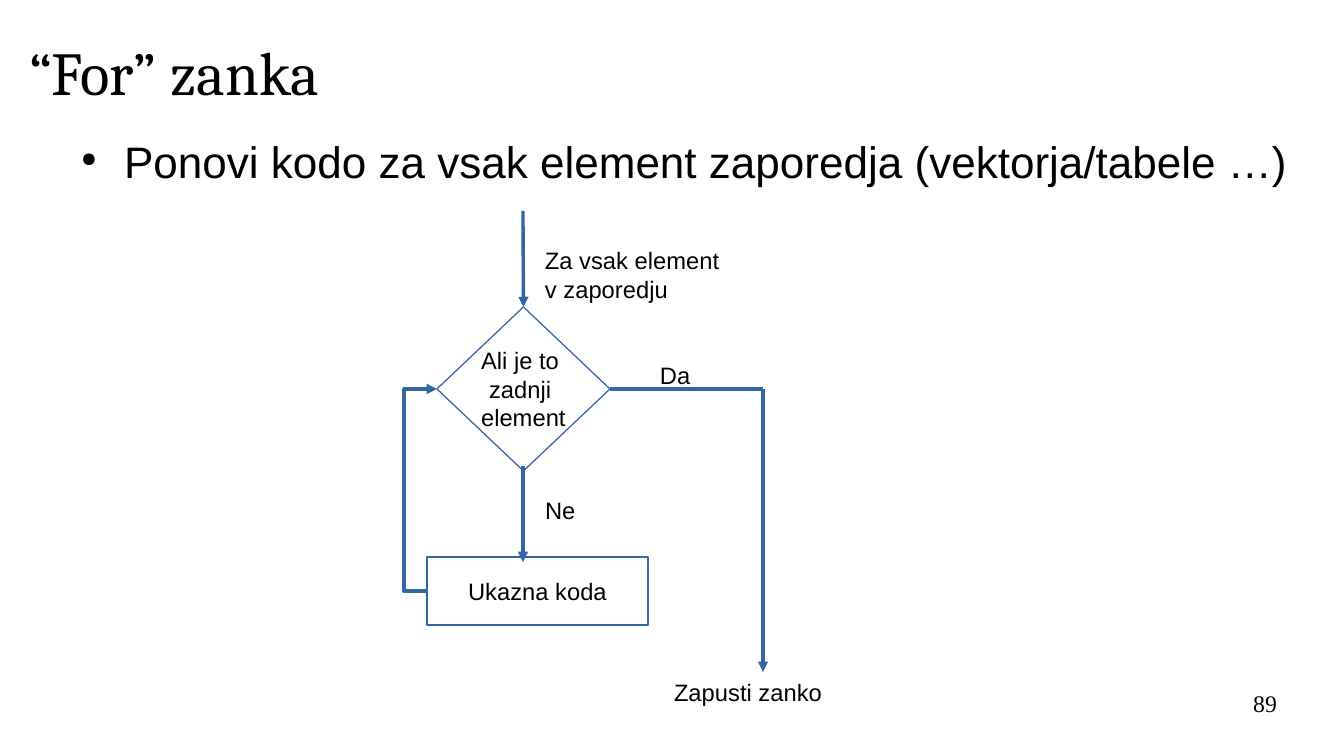
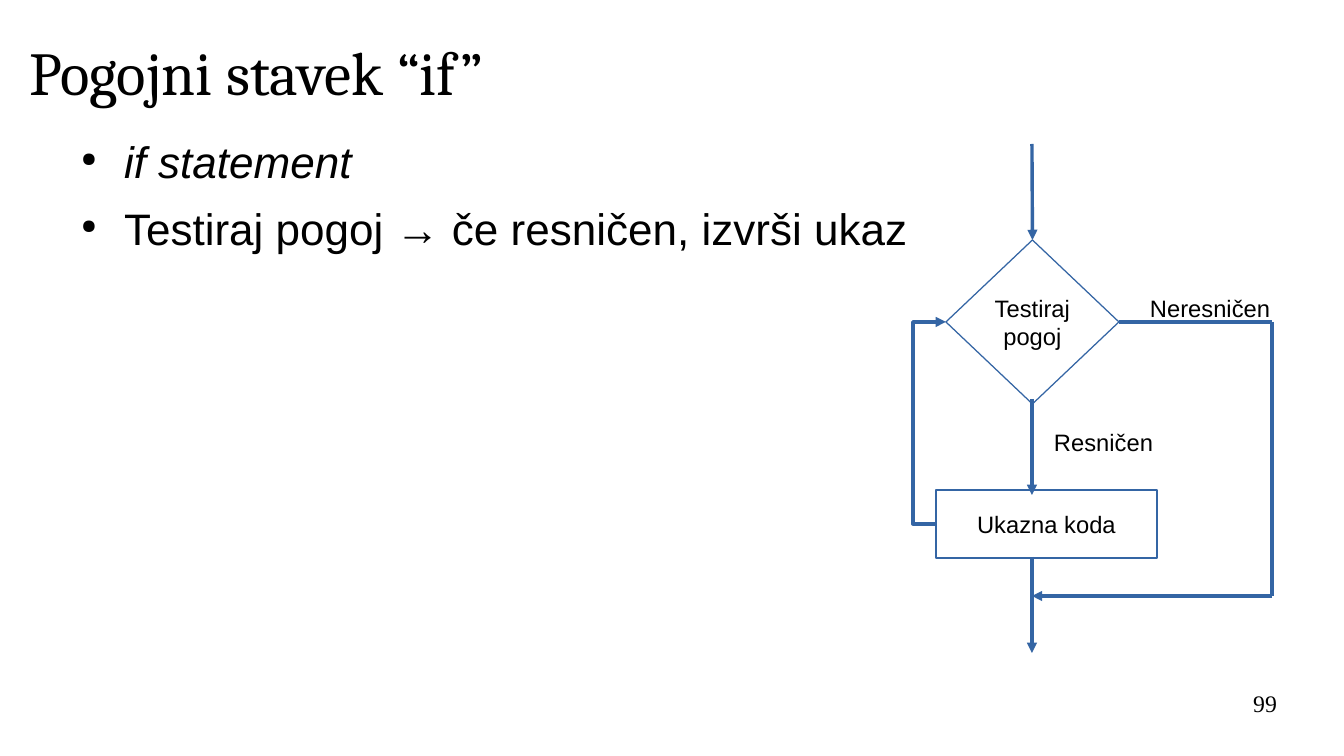
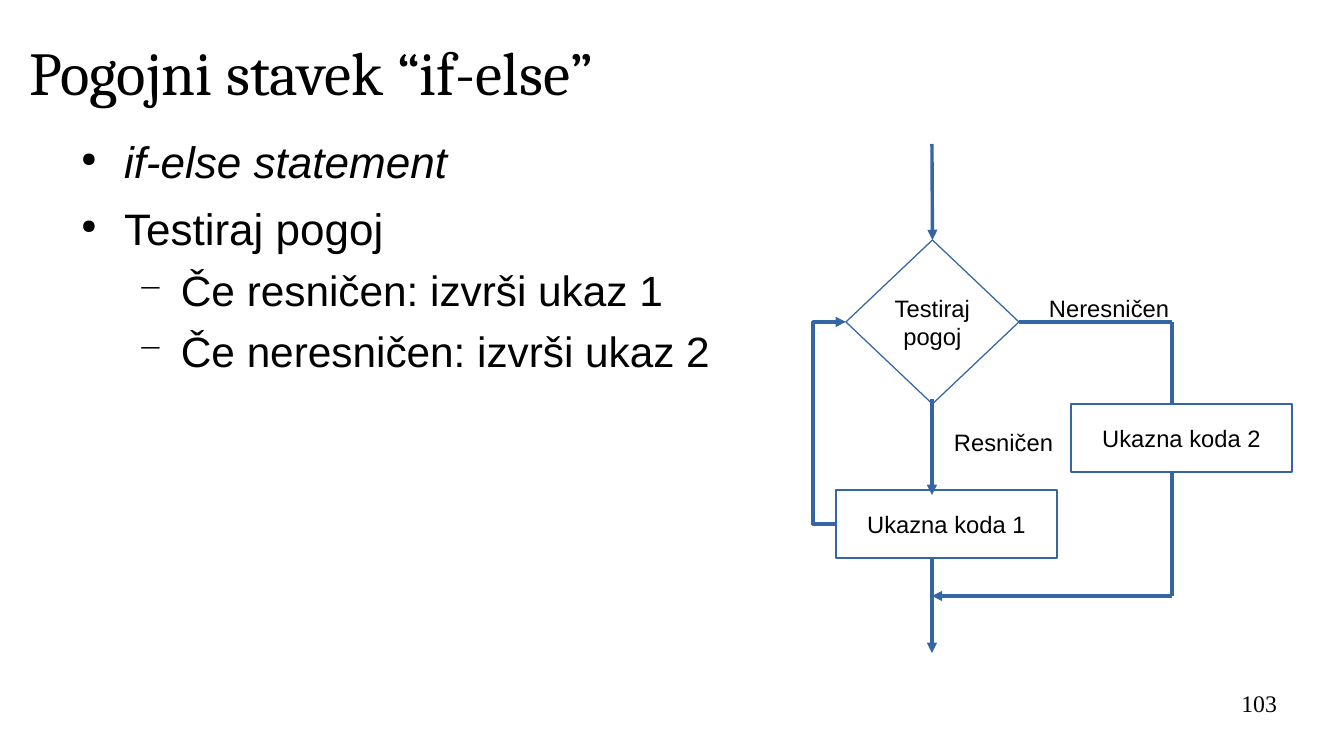
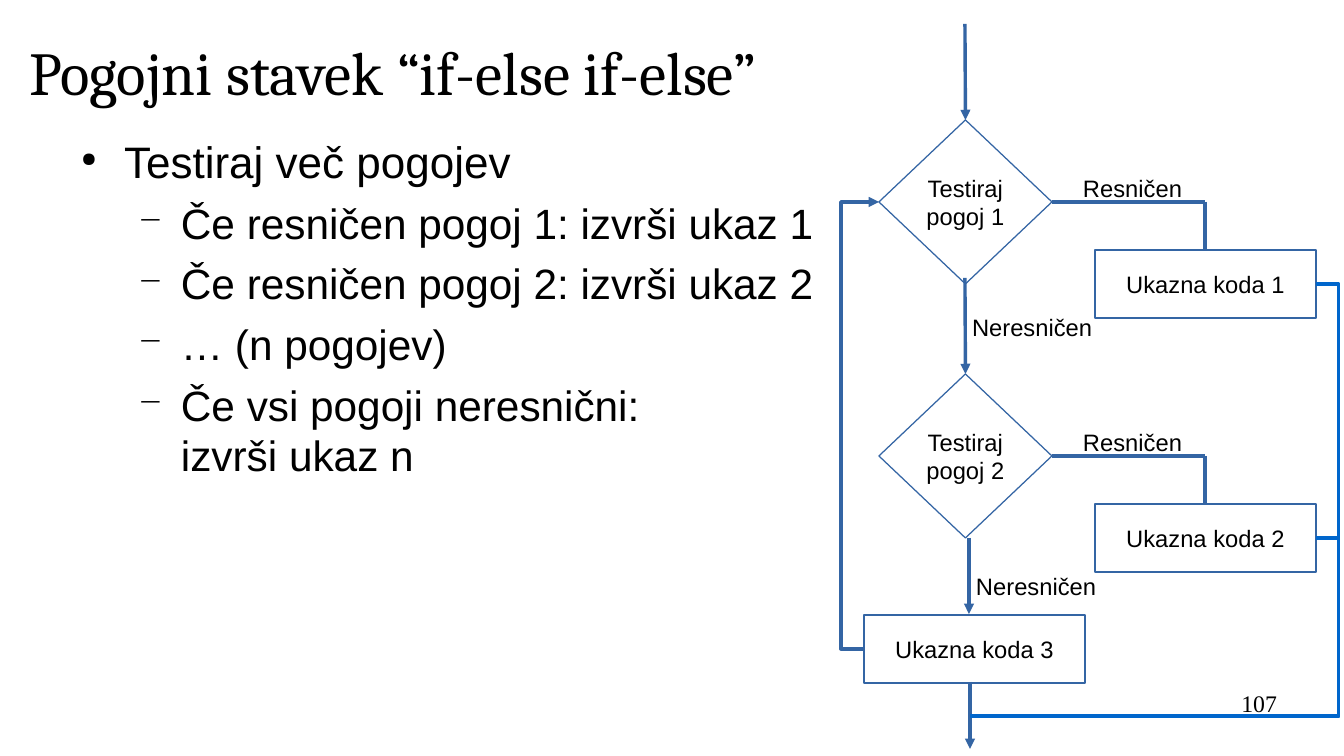
from copy import deepcopy

from pptx import Presentation
from pptx.dml.color import RGBColor
from pptx.enum.shapes import MSO_CONNECTOR as LINK, MSO_SHAPE as SHAPE
from pptx.enum.text import MSO_ANCHOR as ANCHOR, MSO_AUTO_SIZE as AUTOSIZE, PP_ALIGN as ALIGN
from pptx.oxml.ns import qn
from pptx.oxml.xmlchemy import OxmlElement
from pptx.util import Pt

PX = 914400 / 122
COLORS = {name: RGBColor.from_string(value) for name, value in {
    "text": "000000", "paper": "FFFFFF", "line": "3465A4", "exit": "0066CC"}.items()}

# Flowchart measures in px
DIAMOND_W, DIAMOND_H = 173, 164
COMMAND_W, COMMAND_H = 221, 68
ENTRY = 96        # length of the arrow into a decision
BRANCH = 240      # from the trunk to the right-hand branch
LOOP = 23         # distance of the bent lines from their boxes

# Bullets by level: sign, size in %, space before, text size
BULLETS = [("●", 45, 8.7, 26), ("−", 75, 5.8, 25)]


def write(box, text, size=14, font="Arial", italic=False, align=ALIGN.LEFT,
          anchor=ANCHOR.TOP, margin=None, wrap=True):
    """Add one paragraph to the box and return it."""
    frame = box.text_frame
    frame.auto_size = AUTOSIZE.NONE
    frame.word_wrap = wrap
    frame.vertical_anchor = anchor
    if margin is not None:
        frame.margin_left = frame.margin_right = margin
        frame.margin_top = frame.margin_bottom = margin
    para = frame.add_paragraph() if frame.text else frame.paragraphs[0]
    para.text = text
    para.alignment = align
    for span in para.runs:
        span.font.size, span.font.name = Pt(size), font
        span.font.italic = italic
        span.font.color.rgb = COLORS["text"]
    for line_break in para._p.findall(qn("a:br")):
        line_break.insert(0, deepcopy(para.runs[0]._r.rPr))
    return para


def link(page, x1, y1, x2, y2, arrow=False, via=None, color="line"):
    """Draw a straight line, or one bent at x = via."""
    kind = LINK.STRAIGHT if via is None else LINK.ELBOW
    line = page.shapes.add_connector(kind, *[round(v * PX) for v in (x1, y1, x2, y2)])
    line.line.width = 0
    line.line.color.rgb = COLORS[color]
    properties = line._element.spPr
    if arrow:
        tip = OxmlElement("a:tailEnd")
        tip.set("type", "triangle")
        properties.find(qn("a:ln")).append(tip)
    if via is not None:
        guide = OxmlElement("a:gd")
        guide.set("name", "adj1")
        guide.set("fmla", f"val {round((via - x1) / (x2 - x1) * 100000)}")
        properties.find(qn("a:prstGeom")).get_or_add_avLst().append(guide)
    properties.append(OxmlElement("a:effectLst"))
    return line


# Content: x is counted from the trunk, y from the top of the page
# bullets: level, text, italic        labels: text, x, y, width, filled
# decisions: text, top                commands: text, x, y (the first one loops back)
# lines: x1, y1, x2, y2, arrow        join: where the other commands meet the trunk
PAGES = [
    dict(title="“For” zanka", number="89", trunk=523,
         bullets=[(0, "Ponovi kodo za vsak element zaporedja (vektorja/tabele …)", False)],
         labels=[("Za vsak element\nv zaporedju", 10, 240, 288, True),
                 ("Ne", 10, 490, 67, True),
                 ("Da", 125, 355, 67, False),
                 ("Zapusti zanko", 139, 672, 231, False)],
         decisions=[("Ali je to \nzadnji \nelement", 307)],
         commands=[("Ukazna koda", -96, 557)],
         lines=[(0, 466, 0, 562, True), (BRANCH, 389, BRANCH, 672, True)]),
    dict(title="Pogojni stavek “if”", number="99", trunk=1032,
         bullets=[(0, "if statement", True),
                  (0, "Testiraj pogoj → če resničen, izvrši ukaz", False)],
         labels=[("Resničen", 10, 422, 206, True), ("Neresničen", 106, 288, 149, False)],
         decisions=[("Testiraj\npogoj", 240)],
         commands=[("Ukazna koda", -96, 490)],
         lines=[(0, 399, 0, 495, True), (0, 557, 0, 653, True),
                (BRANCH, 322, BRANCH, 596, False), (BRANCH, 596, 0, 596, True)]),
    dict(title="Pogojni stavek “if-else”", number="103", trunk=932,
         bullets=[(0, "if-else statement", True),
                  (0, "Testiraj pogoj", False),
                  (1, "Če resničen: izvrši ukaz 1", False),
                  (1, "Če neresničen: izvrši ukaz 2", False)],
         labels=[("Resničen", 10, 422, 206, True), ("Neresničen", 105, 288, 149, False)],
         decisions=[("Testiraj\npogoj", 240)],
         commands=[("Ukazna koda 1", -96, 490), ("Ukazna koda 2", 139, 404)],
         lines=[(0, 399, 0, 495, True), (0, 557, 0, 653, True),
                (BRANCH, 322, BRANCH, 404, False), (BRANCH, 471, BRANCH, 596, False),
                (BRANCH, 596, 0, 596, True)]),
    dict(title="Pogojni stavek “if-else if-else”", number="107", trunk=965, join=(5, 716),
         bullets=[(0, "Testiraj več pogojev", False),
                  (1, "Če resničen pogoj 1: izvrši ukaz 1", False),
                  (1, "Če resničen pogoj 2: izvrši ukaz 2", False),
                  (1, "… (n pogojev)", False),
                  (1, "Če vsi pogoji neresnični: \nizvrši ukaz n", False)],
         labels=[("Neresničen", -1, 566, 206, True), ("Neresničen", -5, 307, 206, True),
                 ("Resničen", 106, 168, 149, False), ("Resničen", 106, 422, 149, False)],
         decisions=[("Testiraj\npogoj 1", 120), ("Testiraj\npogoj 2", 374)],
         commands=[("Ukazna koda 3", -101, 615), ("Ukazna koda 1", 130, 250),
                   ("Ukazna koda 2", 130, 504)],
         lines=[(4, 538, 4, 614, True), (5, 682, 5, 749, True),
                (BRANCH, 202, BRANCH, 250, False), (BRANCH, 456, BRANCH, 504, False)]),
]

deck = Presentation()
deck.slide_width, deck.slide_height = round(1344 * PX), round(756 * PX)

for content in PAGES:
    page = deck.slides.add_slide(deck.slide_layouts[5])
    trunk = content["trunk"]

    # Title
    title = page.shapes.title
    title.left, title.top, title.width, title.height = [
        round(v * PX) for v in (29, 18, 1210, 107)]
    write(title, content["title"], size=36, font="Cambria", anchor=ANCHOR.MIDDLE, margin=0)

    # Bullet list
    body = page.shapes.add_textbox(*[round(v * PX) for v in (67, 134, 1268, 538)])
    for level, text, italic in content["bullets"]:
        sign, percent, space, size = BULLETS[level]
        para = write(body, text, size=size, italic=italic, margin=0)
        para.level = level
        para.space_before = Pt(space)
        properties = para._p.get_or_add_pPr()
        properties.set("marL", str(round(57 * (level + 1) * PX)))
        properties.set("indent", str(round(-43 * PX)))
        for tag, key, value in (("a:buSzPct", "val", str(percent * 1000)),
                                ("a:buChar", "char", sign)):
            bullet = OxmlElement(tag)
            bullet.set(key, value)
            properties.append(bullet)

    # Labels beside the lines
    for text, x, y, width, filled in content["labels"]:
        height = 39 + 46 * text.count("\n")
        label = page.shapes.add_textbox(
            *[round(v * PX) for v in (trunk + x, y, width, height)])
        if filled:
            label.fill.solid()
            label.fill.fore_color.rgb = COLORS["paper"]
        write(label, text)

    # Decisions and commands
    nodes = [(SHAPE.DIAMOND, text, -86, top, DIAMOND_W, DIAMOND_H)
             for text, top in content["decisions"]]
    nodes += [(SHAPE.RECTANGLE, text, x, y, COMMAND_W, COMMAND_H)
              for text, x, y in content["commands"]]
    boxes = []
    for kind, text, x, y, width, height in nodes:
        box = page.shapes.add_shape(
            kind, *[round(v * PX) for v in (trunk + x, y, width, height)])
        box.shadow.inherit = False
        box.fill.solid()
        box.fill.fore_color.rgb = COLORS["paper"]
        box.line.color.rgb = COLORS["line"]
        box.line.width = 0
        write(box, text, align=ALIGN.CENTER, anchor=ANCHOR.MIDDLE, wrap=False)
        boxes.append(box)

    # Arrow into each decision and its branch to the right
    for (text, top), diamond in zip(content["decisions"], boxes):
        middle = top + DIAMOND_H // 2
        entry = link(page, trunk, top - ENTRY, trunk, top, arrow=True)
        entry.end_connect(diamond, 0)
        branch = link(page, trunk + 87, middle, trunk + BRANCH, middle)
        branch.begin_connect(diamond, 3)

    # Other straight lines
    for x1, y1, x2, y2, arrow in content["lines"]:
        link(page, trunk + x1, y1, trunk + x2, y2, arrow=arrow)

    # Loop from the first command back to the first decision
    text, x, y = content["commands"][0]
    first_top = content["decisions"][0][1]
    link(page, trunk + x, y + COMMAND_H // 2, trunk - 86, first_top + DIAMOND_H // 2,
         arrow=True, via=trunk + x - LOOP)

    # Exits from the other commands to the trunk
    if "join" in content:
        join_x, join_y = content["join"]
        for text, x, y in content["commands"][1:]:
            right = trunk + x + COMMAND_W
            link(page, right, y + COMMAND_H // 2, trunk + join_x, join_y,
                 via=right + LOOP, color="exit")

    # Page number
    number = page.shapes.add_textbox(*[round(v * PX) for v in (964, 689, 313, 52)])
    write(number, content["number"], font="Times New Roman", align=ALIGN.RIGHT, margin=0)

deck.save("out.pptx")
